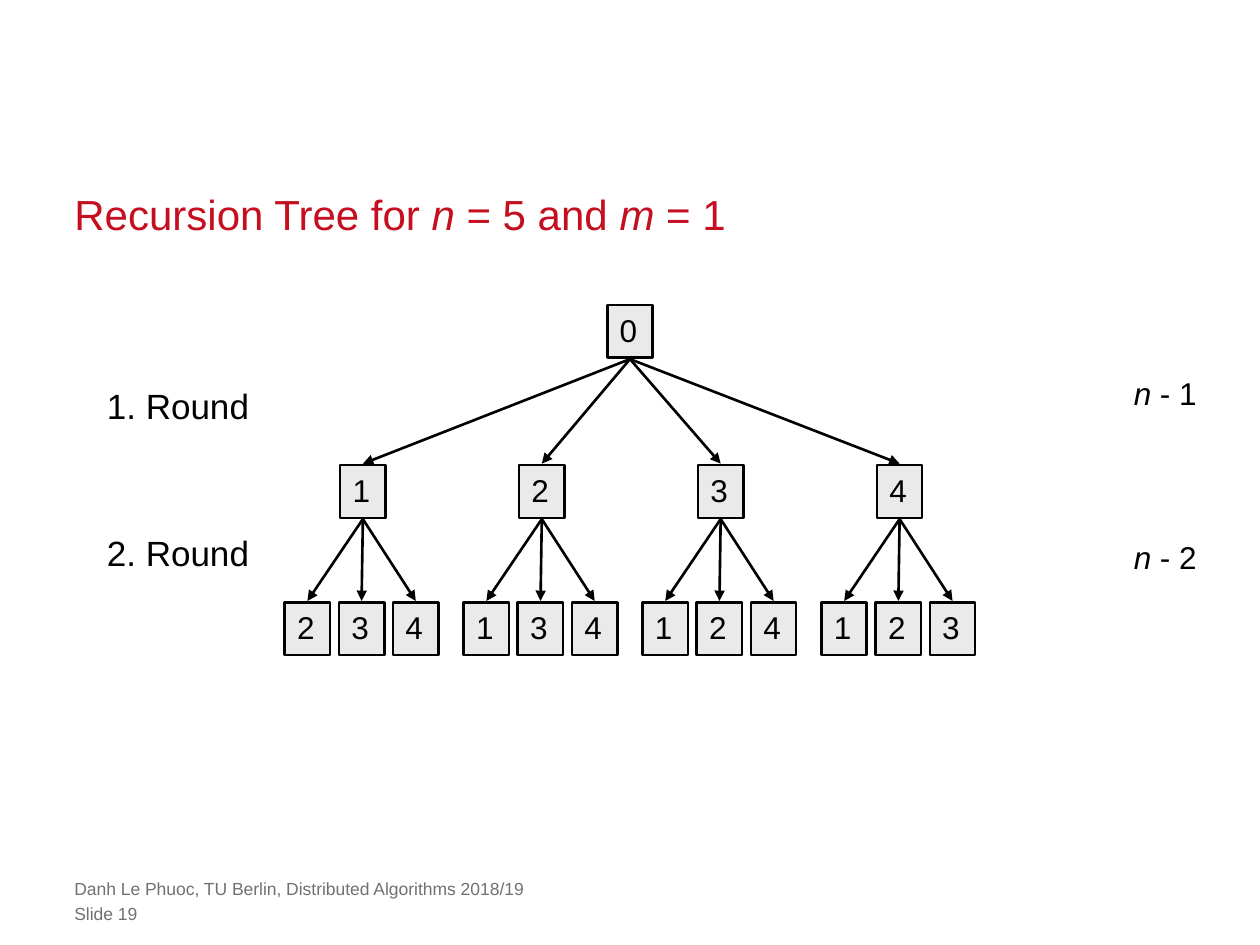
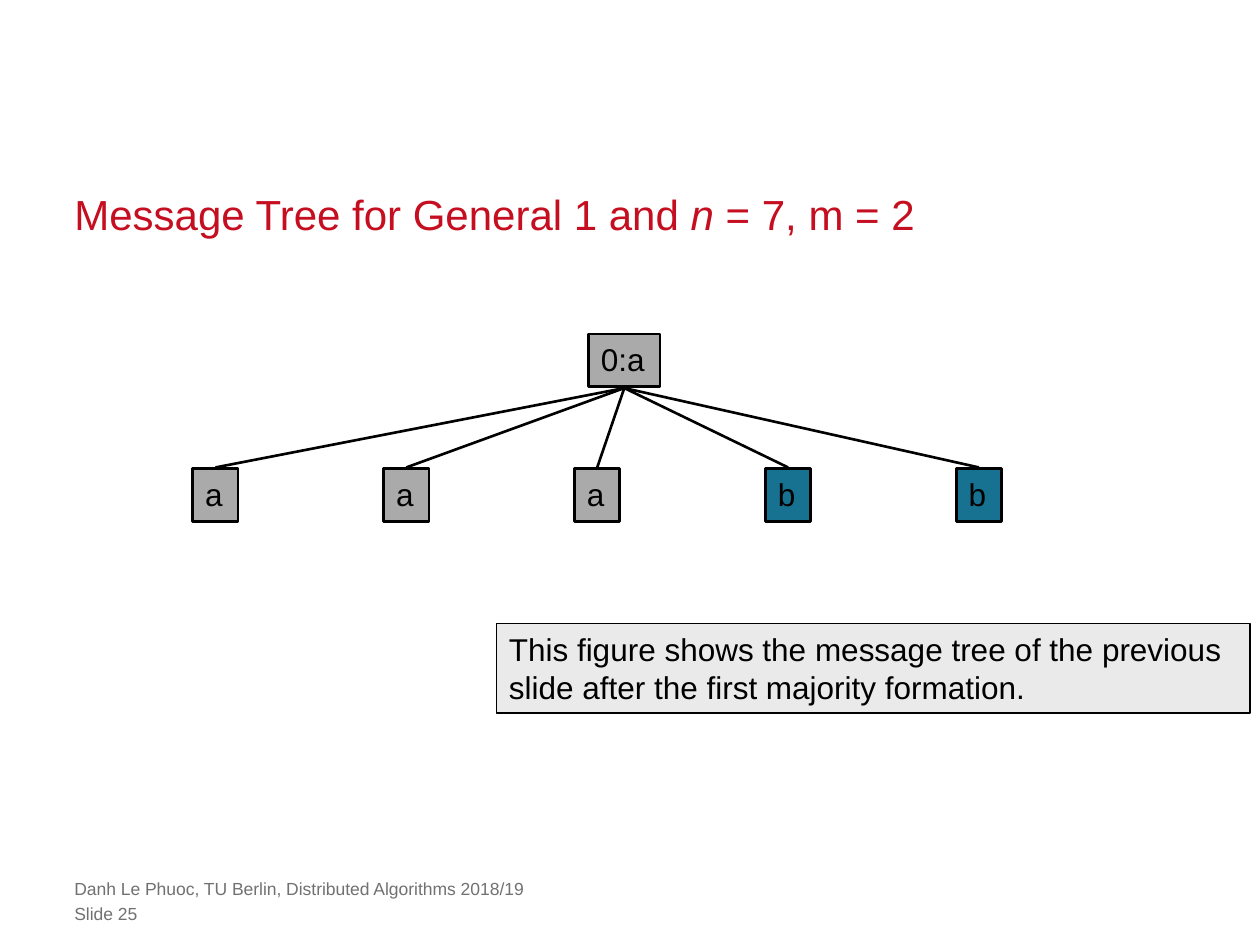
from lxml import etree
from pptx import Presentation
from pptx import util as u
from pptx.dml.color import RGBColor
from pptx.enum import shapes, text
from pptx.oxml.ns import qn

# Content: text between underscores is italic
FOOTER = "Danh Le Phuoc, TU Berlin, Distributed Algorithms 2018/19"

RECURSION_TITLE = "Recursion Tree for _n_ = 5 and _m_ = 1"
RECURSION_ROOT = "0"
RECURSION_BRANCHES = [("1", "234"), ("2", "134"), ("3", "124"), ("4", "123")]
ROUND_LABELS = [("1. Round", 3), ("2. Round", 4.17)]
MESSAGE_COUNTS = [("_n_ - 1", 2.92), ("_n_ - 2", 4.22)]

MESSAGE_TITLE = "Message Tree for General 1 and _n_ = 7, m = 2"
MESSAGE_ROOT = "0:a"
MESSAGES = ["a", "a", "a", "b", "b"]
MESSAGE_NOTE = [
    "This figure shows the message tree of the previous",
    "slide after the first majority formation.",
]

# Style
FONT = "Arial"
COLORS = {
    "title": "C50E1F",
    "footer": "717171",
    "ink": "000000",
    "light": "EAEAEA",
    "a": "AAAAAA",
    "b": "177191",
}
MARGIN = 0.59
NODE_WIDTH, NODE_HEIGHT = 0.36, 0.42
EDGE_GAP = 0.01


def color(name):
    return RGBColor.from_string(COLORS[name])


def spread(first, last, count):
    """Return evenly spaced positions from first to last."""
    return [first + (last - first) * i / (count - 1) for i in range(count)]


def write(shape, lines, size, ink="ink", inset=True):
    """Fill a shape with left-aligned lines, one paragraph each."""
    frame = shape.text_frame
    if not inset:
        frame.margin_left = frame.margin_right = 0
        frame.margin_top = frame.margin_bottom = 0
    for i, line in enumerate(lines):
        paragraph = frame.add_paragraph() if i else frame.paragraphs[0]
        paragraph.alignment = text.PP_ALIGN.LEFT
        paragraph.font.name = FONT
        paragraph.font.size = u.Pt(size)
        paragraph.font.color.rgb = color(ink)
        for j, piece in enumerate(line.split("_")):
            if piece:
                run = paragraph.add_run()
                run.text = piece
                if j % 2:
                    run.font.italic = True
    return frame


def place(shape, *box):
    shape.left, shape.top, shape.width, shape.height = map(u.Inches, box)


def add_label(slide, label, size, *box):
    shape = slide.shapes.add_textbox(*map(u.Inches, box))
    write(shape, [label], size).word_wrap = False


def add_footer_line(slide, line, top):
    shape = slide.shapes.add_textbox(*map(u.Inches, (MARGIN, top, 7.24, 0.17)))
    write(shape, [line], 10, "footer", inset=False).word_wrap = True


def add_box(slide, lines, fill, left, top, width=NODE_WIDTH,
            height=NODE_HEIGHT, border=1.5):
    box = slide.shapes.add_shape(
        shapes.MSO_SHAPE.RECTANGLE, *map(u.Inches, (left, top, width, height)))
    box.shadow.inherit = False
    box.fill.solid()
    box.fill.fore_color.rgb = color(fill)
    box.line.color.rgb = color("ink")
    box.line.width = u.Pt(border)
    frame = write(box, lines, 18)
    frame.word_wrap = False
    frame.vertical_anchor = text.MSO_ANCHOR.TOP
    return box


def add_edge(slide, parent, child, arrow=False):
    """Join the bottom centre of parent to the top centre of child."""
    gap = u.Inches(EDGE_GAP)
    edge = slide.shapes.add_connector(
        shapes.MSO_CONNECTOR.STRAIGHT,
        parent.left + parent.width // 2, parent.top + parent.height + gap,
        child.left + child.width // 2, child.top - gap)
    edge.line.color.rgb = color("ink")
    edge.line.width = u.Pt(1.5)
    properties = edge.element.spPr
    etree.SubElement(properties, qn("a:effectLst"))
    if arrow:
        line = properties.find(qn("a:ln"))
        etree.SubElement(line, qn("a:tailEnd"), type="triangle")


def add_slide(presentation, title, number):
    slide = presentation.slides.add_slide(presentation.slide_layouts[5])
    heading = slide.shapes.title
    place(heading, MARGIN, 1.48, 8.82, 0.42)
    frame = write(heading, [title], 24, "title", inset=False)
    frame.vertical_anchor = text.MSO_ANCHOR.BOTTOM
    frame.auto_size = text.MSO_AUTO_SIZE.NONE
    frame.paragraphs[0].line_spacing = u.Pt(30)
    add_footer_line(slide, FOOTER, 6.97)
    add_footer_line(slide, f"Slide {number}", 7.17)
    return slide


def build_recursion_tree(presentation):
    slide = add_slide(presentation, RECURSION_TITLE, 19)
    root = add_box(slide, [RECURSION_ROOT], "light", 4.82, 2.42)
    lefts = spread(2.7, 6.96, len(RECURSION_BRANCHES))
    for left, (general, receivers) in zip(lefts, RECURSION_BRANCHES):
        branch = add_box(slide, [general], "light", left, 3.69)
        add_edge(slide, root, branch, arrow=True)
        leaf_lefts = spread(left - 0.44, left + 0.42, len(receivers))
        for leaf_left, receiver in zip(leaf_lefts, receivers):
            leaf = add_box(slide, [receiver], "light", leaf_left, 4.78)
            add_edge(slide, branch, leaf, arrow=True)
    for label, top in ROUND_LABELS:
        add_label(slide, label, 20, 0.75, top, 1.34, 0.44)
    for label, top in MESSAGE_COUNTS:
        add_label(slide, label, 18, 8.9, top, 0.7, 0.4)


def build_message_tree(presentation):
    slide = add_slide(presentation, MESSAGE_TITLE, 25)
    root = add_box(slide, [MESSAGE_ROOT], "a", 4.67, 2.65, width=0.57)
    for left, message in zip(spread(1.53, 7.59, len(MESSAGES)), MESSAGES):
        node = add_box(slide, [message], message, left, 3.72)
        add_edge(slide, root, node)
    add_box(slide, MESSAGE_NOTE, "light", 3.94, 4.95, 5.98, 0.71, border=0.75)


def main():
    presentation = Presentation()
    presentation.slide_width = u.Inches(10)
    presentation.slide_height = u.Inches(7.5)
    build_recursion_tree(presentation)
    build_message_tree(presentation)
    presentation.save("out.pptx")


if __name__ == "__main__":
    main()
